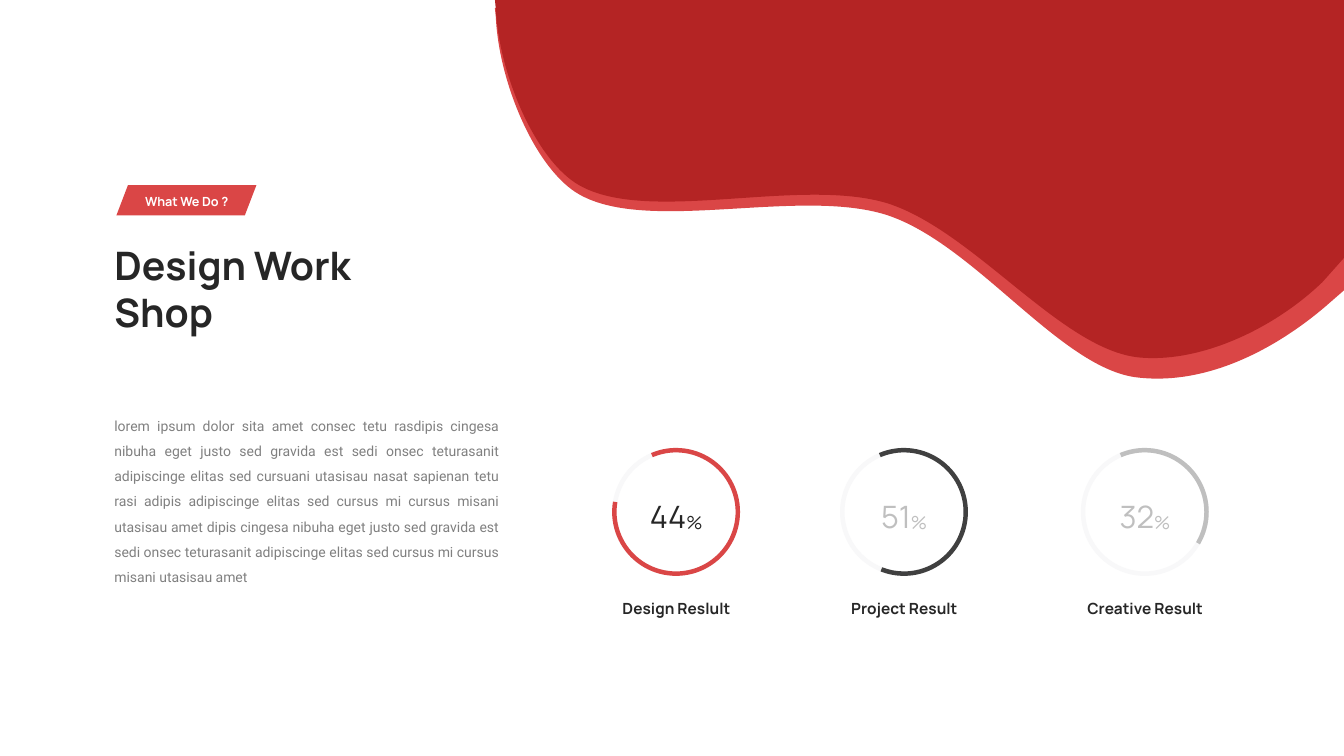
from dataclasses import dataclass

from lxml.etree import SubElement
from pptx import Presentation
from pptx.dml.color import RGBColor
from pptx.enum.shapes import MSO_SHAPE as SHAPE
from pptx.enum.text import MSO_AUTO_SIZE as FIT, PP_ALIGN as ALIGN
from pptx.oxml.ns import qn
from pptx.util import Pt


@dataclass(frozen=True)
class Theme:
    red: str = "DA4646"
    deep_red: str = "B42424"
    ink: str = "262626"
    charcoal: str = "404040"
    silver: str = "BFBFBF"
    grey: str = "808080"
    track: str = "F8F8F9"
    white: str = "FFFFFF"
    head_font: str = "Manrope"
    body_font: str = "Roboto"
    title: int = 28
    value: int = 22
    caption: int = 11
    body: int = 10
    tag: int = 9


T = Theme()

# Waves: height, corner points, then (control, control, end) of each curve
LIGHT_WAVE = (
    264.9,
    [(353.5, 5.8), (960, 5.8), (960, 207.4), (946.8, 218.9)],
    [(912.2, 248.4), (861.8, 276.5), (810, 269.3),
     (755.3, 260.6), (695.5, 173.5), (632.9, 153.4),
     (570.2, 133.9), (463.7, 167), (414, 139),
     (383, 121.7), (356.4, 59.8), (354.2, 12.2)])
DARK_WAVE = (
    257,
    [(353.5, -0.7), (960, -0.7), (960, 184.3), (944.6, 201.6)],
    [(910.1, 234.7), (859, 258.5), (816.5, 255.6),
     (760.3, 252.7), (697, 165.6), (634.3, 145.4),
     (571.7, 126), (463.7, 160.6), (414, 132.5),
     (383, 115.2), (356.4, 53.3), (354.2, 6.5)])

# Gauges: left, caption, value, value colour, arc colour, arc end in degrees
GAUGES = [
    (437.2, "Design Reslult", "44", T.ink, T.red, 99.3),
    (600, "Project Result", "51", T.silver, T.charcoal, 21.5),
    (772, "Creative Result", "32", T.silver, T.silver, 300.5),
]
GAUGE_TOP, GAUGE_SIZE, ARC_START = 320, 91.4, 156.94

BODY = ("lorem ipsum dolor sita amet consec tetu rasdipis cingesa nibuha eget "
        "justo sed gravida est sedi onsec teturasanit adipiscinge elitas sed "
        "cursuani utasisau nasat sapienan tetu rasi adipis adipiscinge elitas "
        "sed cursus mi cursus misani utasisau amet dipis cingesa nibuha eget "
        "justo sed gravida est sedi onsec teturasanit adipiscinge elitas sed "
        "cursus mi cursus misani utasisau amet")


def paint(sp, color):
    sp.shadow.inherit = False
    sp.fill.solid()
    sp.fill.fore_color.rgb = RGBColor.from_string(color)
    sp.line.fill.background()


def add_preset(shapes, kind, box, color, adjustments):
    sp = shapes.add_shape(kind, *map(Pt, box))
    paint(sp, color)
    for i, value in enumerate(adjustments):
        sp.adjustments[i] = value
    return sp


def add_run(p, text, size, color, font=T.head_font, bold=False):
    r = p.add_run()
    r.text = text
    r.font.name, r.font.size, r.font.bold = font, Pt(size), bold
    r.font.color.rgb = RGBColor.from_string(color)
    return r


def add_paragraph_box(shapes, box, align=ALIGN.LEFT, wrap=True):
    tf = shapes.add_textbox(*map(Pt, box)).text_frame
    tf.word_wrap, tf.auto_size = wrap, FIT.SHAPE_TO_FIT_TEXT
    p = tf.paragraphs[0]
    p.alignment = align
    return p


def add_wave(shapes, wave, color):
    height, corners, curves = wave
    emu = [(Pt(x), Pt(y)) for x, y in corners + curves]
    builder = shapes.build_freeform(*emu[0])
    builder.add_line_segments(emu[1:], close=True)
    sp = builder.convert_to_shape()
    paint(sp, color)
    # Turn each three segments after the corners into one Bezier curve
    outline = next(sp._element.iter(qn("a:path")))
    segments = outline.findall(qn("a:lnTo"))[len(corners) - 1:]
    for i in range(0, len(segments), 3):
        curve = SubElement(outline, qn("a:cubicBezTo"))
        for segment in segments[i:i + 3]:
            curve.append(segment[0])
            outline.remove(segment)
    outline.append(outline.find(qn("a:close")))
    # Control points may lie outside the visible outline
    sp.height = Pt(height)
    outline.set("h", str(Pt(height)))


def add_arc(shapes, left, color, start, end):
    box = (left, GAUGE_TOP, GAUGE_SIZE, GAUGE_SIZE)
    # Angle adjustments count 0.6 per degree
    sp = add_preset(shapes, SHAPE.BLOCK_ARC, box, color,
                    (start * 0.6, end * 0.6, 0.035))
    sp.rotation = 90


def add_gauge(shapes, left, caption, value, value_color, arc_color, end):
    group = shapes.add_group_shape().shapes
    p = add_paragraph_box(group, (left - 27.4, GAUGE_TOP + 104.2, 146.9, 20.9),
                          ALIGN.CENTER)
    add_run(p, caption, T.caption, T.ink, bold=True)
    p = add_paragraph_box(group, (left + 6.5, GAUGE_TOP + 32.2, 78.5, 33.8),
                          ALIGN.CENTER)
    add_run(p, value, T.value, value_color)
    percent = add_run(p, "%", T.value, value_color)
    percent.font._element.set("baseline", "-1000")
    add_arc(group, left, T.track, 67.6, 67.43)
    add_arc(group, left, arc_color, ARC_START, end)


def add_tag(shapes, text):
    group = shapes.add_group_shape().shapes
    add_preset(group, SHAPE.PARALLELOGRAM, (83.2, 132.2, 100, 21.6), T.red, [0.382])
    p = add_paragraph_box(group, (91.9, 134.6, 82.8, 18), ALIGN.CENTER, wrap=False)
    add_run(p, text, T.tag, T.white, bold=True)


def main():
    prs = Presentation()
    prs.slide_width, prs.slide_height = Pt(960), Pt(540)
    s = prs.slides.add_slide(prs.slide_layouts[6])

    # Background waves
    add_wave(s.shapes, LIGHT_WAVE, T.red)
    add_wave(s.shapes, DARK_WAVE, T.deep_red)

    # Result gauges
    for gauge in GAUGES:
        add_gauge(s.shapes, *gauge)

    # Heading, tag and body text
    p = add_paragraph_box(s.shapes, (74.6, 168.8, 239, 74.9))
    add_run(p, "Design Work Shop", T.title, T.ink, bold=True)
    add_tag(s.shapes, "What We Do ?")
    p = add_paragraph_box(s.shapes, (74.6, 288.5, 288.7, 132.5), ALIGN.JUSTIFY)
    p.line_spacing = 1.5
    add_run(p, BODY, T.body, T.grey, T.body_font)

    prs.save("out.pptx")


main()
